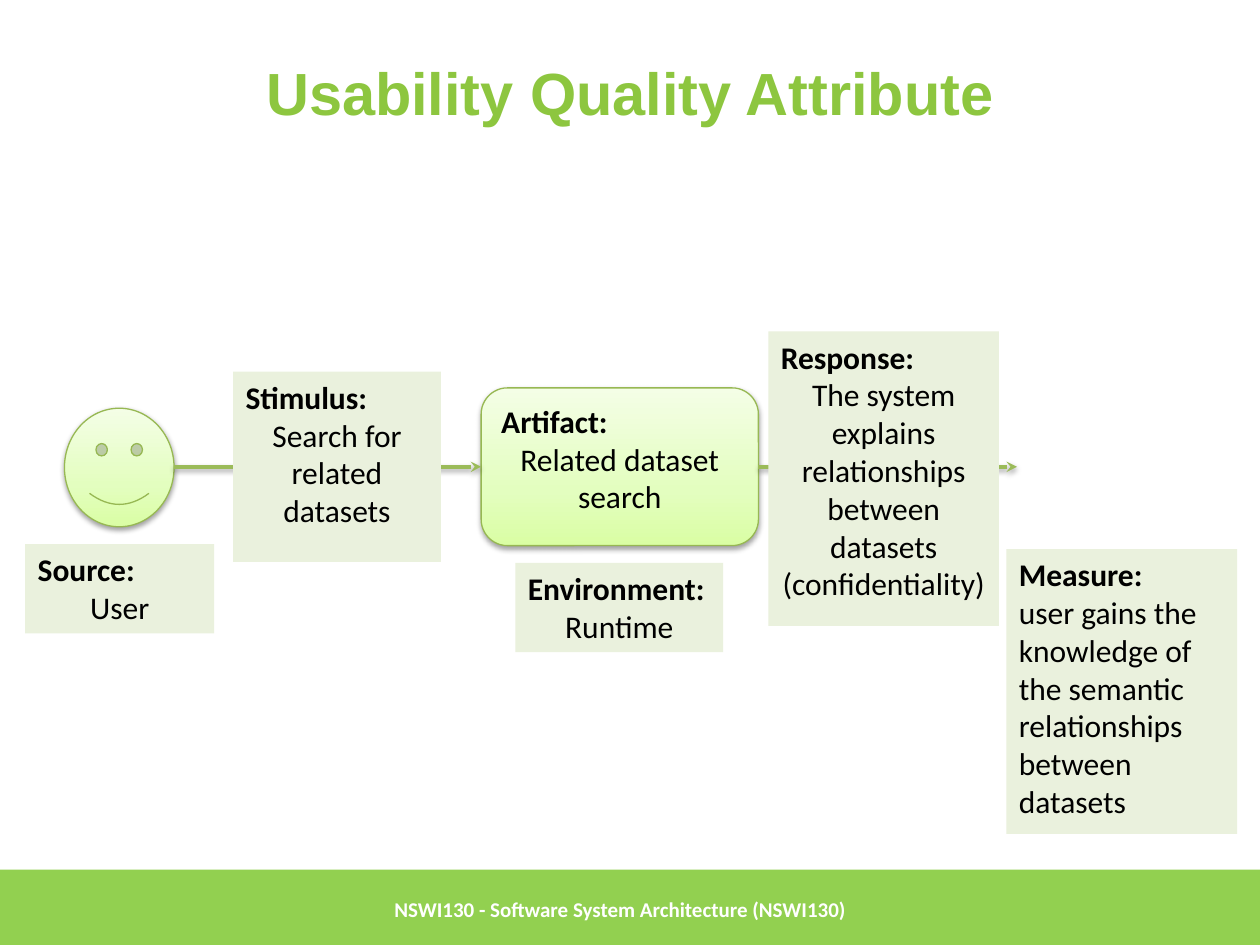
from lxml.etree import SubElement
from pptx import Presentation
from pptx.dml.color import RGBColor
from pptx.enum.shapes import MSO_CONNECTOR, MSO_SHAPE
from pptx.enum.text import MSO_ANCHOR, PP_ALIGN
from pptx.oxml import parse_xml
from pptx.oxml.ns import nsdecls, qn
from pptx.util import Cm, Pt

COLORS = {
    "title": "8DC63F", "band": "92D050", "label": "EAF1DD",
    "outline": "97B853", "arrow": "9BBB59",
    "text": "000000", "white": "FFFFFF",
}
GRADIENT = [(0, "DAFEA4"), (35, "E3FEBF"), (100, "F4FEE6")]
LEFT, CENTER = PP_ALIGN.LEFT, PP_ALIGN.CENTER
FLOW_Y = 9.41


def color(name):
    return RGBColor.from_string(COLORS[name])


def add_soft_shadow(shape):
    """Append the shadow after fill and line, as the schema orders them."""
    shape._element.spPr.append(parse_xml(
        f'<a:effectLst {nsdecls("a")}>'
        f'<a:outerShdw blurRad="{Pt(3.1)}" dist="{Pt(1.6)}" dir="5400000" rotWithShape="0">'
        '<a:srgbClr val="000000"><a:alpha val="37000"/></a:srgbClr>'
        '</a:outerShdw></a:effectLst>'))


class ScenarioSlide:
    def __init__(self, slide, font="Calibri", size=18):
        self.slide = slide
        self.font = font
        self.size = size

    def add_rectangle(self, box, fill):
        shape = self.slide.shapes.add_shape(MSO_SHAPE.RECTANGLE, *map(Cm, box))
        shape.shadow.inherit = False
        shape.fill.solid()
        shape.fill.fore_color.rgb = color(fill)
        shape.line.fill.background()
        return shape

    def add_glossy(self, kind, box):
        """Add an outlined shape with a green gradient, lightest at the top."""
        shape = self.slide.shapes.add_shape(kind, *map(Cm, box))
        shape.fill.gradient()
        shape.fill.gradient_angle = 90
        stops = shape._element.spPr.find(qn("a:gradFill")).find(qn("a:gsLst"))
        for stop in list(stops):
            stops.remove(stop)
        for percent, value in GRADIENT:
            stop = SubElement(stops, qn("a:gs"), pos=str(percent * 1000))
            SubElement(stop, qn("a:srgbClr"), val=value)
        shape.line.color.rgb = color("outline")
        shape.line.width = Pt(0.75)
        add_soft_shadow(shape)
        return shape

    def write_label(self, shape, heading, *lines, align=CENTER):
        """Put a bold heading and plain lines below it into a shape."""
        frame = shape.text_frame
        frame.word_wrap = True
        frame.vertical_anchor = MSO_ANCHOR.TOP
        frame.text = "\n".join((heading, *lines))
        for index, paragraph in enumerate(frame.paragraphs):
            paragraph.alignment = align if index else LEFT
            self.format_run(paragraph.runs[0], "text", bold=index == 0)

    def add_label(self, box, heading, *lines, align=CENTER):
        shape = self.add_rectangle(box, "label")
        self.write_label(shape, heading, *lines, align=align)

    def add_heading(self, box, text, size, ink, font=None, align=LEFT):
        frame = self.slide.shapes.add_textbox(*map(Cm, box)).text_frame
        frame.word_wrap = True
        frame.vertical_anchor = MSO_ANCHOR.MIDDLE
        frame.text = text
        paragraph = frame.paragraphs[0]
        paragraph.alignment = align
        self.format_run(paragraph.runs[0], ink, size=size, font=font)

    def add_arrow(self, start, end):
        connector = self.slide.shapes.add_connector(
            MSO_CONNECTOR.STRAIGHT, Cm(start), Cm(FLOW_Y), Cm(end), Cm(FLOW_Y))
        connector.line.color.rgb = color("arrow")
        connector.line.width = Pt(2)
        SubElement(connector.line._ln, qn("a:tailEnd"), type="stealth")
        add_soft_shadow(connector)
        return connector

    def format_run(self, run, ink, bold=True, size=None, font=None):
        run.font.name = font or self.font
        run.font.size = Pt(size or self.size)
        run.font.bold = bold
        run.font.color.rgb = color(ink)


def main():
    presentation = Presentation()
    presentation.slide_width, presentation.slide_height = Cm(25.4), Cm(19.05)
    scenario = ScenarioSlide(presentation.slides.add_slide(presentation.slide_layouts[6]))

    scenario.add_rectangle((0, 17.53, 25.4, 1.6), "band")
    scenario.add_heading((1.27, 0.76, 22.86, 2.16), "Usability Quality Attribute",
                         34, "title", font="Arial", align=CENTER)
    scenario.add_heading((7.7, 17.53, 15.29, 1.6),
                         "NSWI130 - Software System Architecture (NSWI130)", 12, "white")

    scenario.add_glossy(MSO_SHAPE.SMILEY_FACE, (1.3, 8.23, 2.21, 2.39))
    scenario.add_label((0.51, 10.97, 3.81, 1.8), "Source:", "User")
    artifact = scenario.add_glossy(MSO_SHAPE.ROUNDED_RECTANGLE, (9.7, 7.82, 5.59, 3.18))
    scenario.write_label(artifact, "Artifact:", "Related dataset search")

    scenario.add_arrow(3.51, 9.7).end_connect(artifact, 1)
    scenario.add_label((4.7, 7.49, 4.19, 3.84), "Stimulus:", "Search for related datasets")
    scenario.add_arrow(15.29, 20.5).begin_connect(artifact, 3)
    scenario.add_label((10.39, 11.35, 4.19, 1.8), "Environment:", "Runtime")
    scenario.add_label((15.49, 6.68, 4.65, 5.94), "Response:",
                       "The system explains relationships between datasets",
                       "(confidentiality)")
    scenario.add_label((20.29, 11.07, 4.65, 5.74), "Measure:",
                       "user gains the knowledge of the semantic relationships between datasets",
                       align=LEFT)
    presentation.save("out.pptx")


if __name__ == "__main__":
    main()
